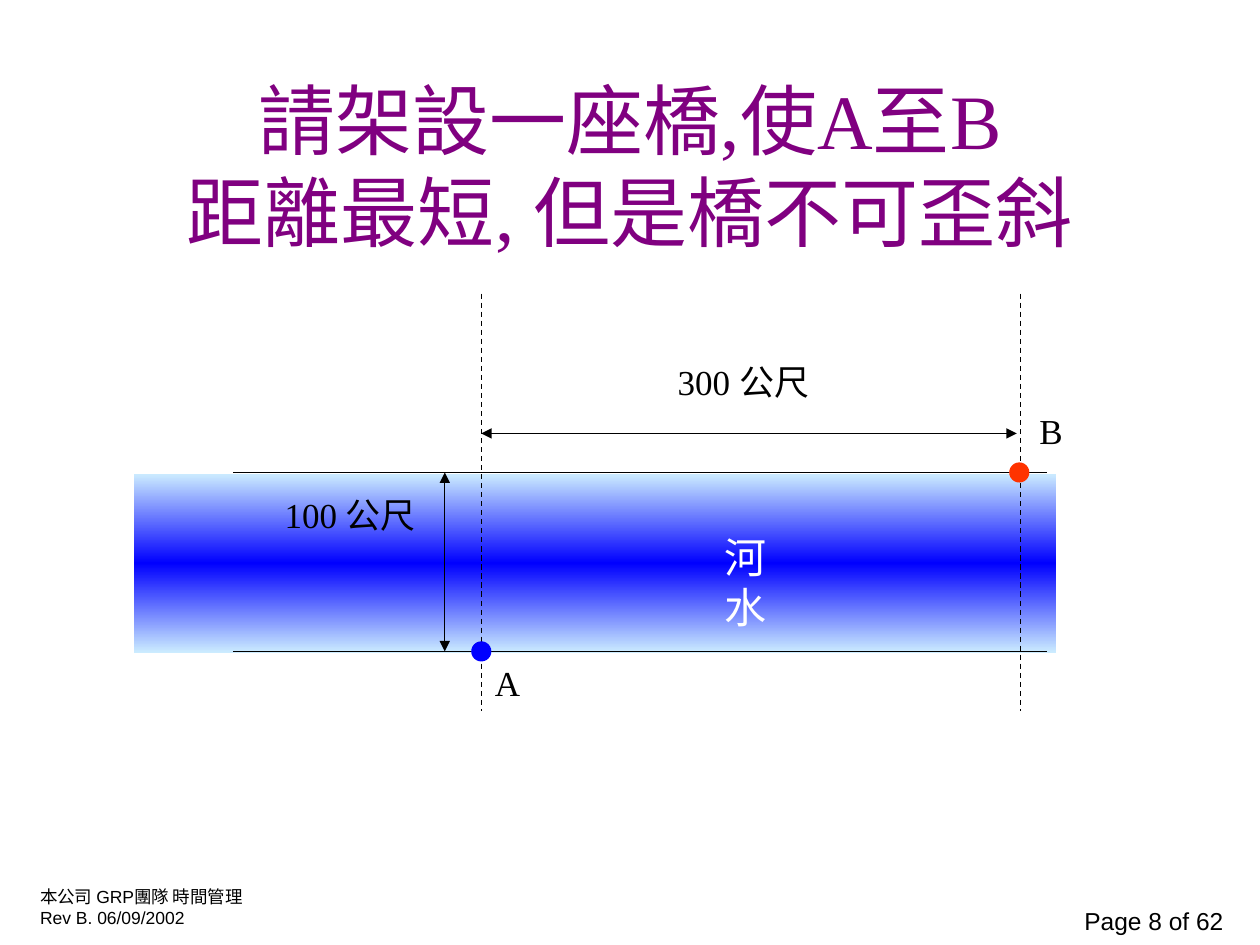
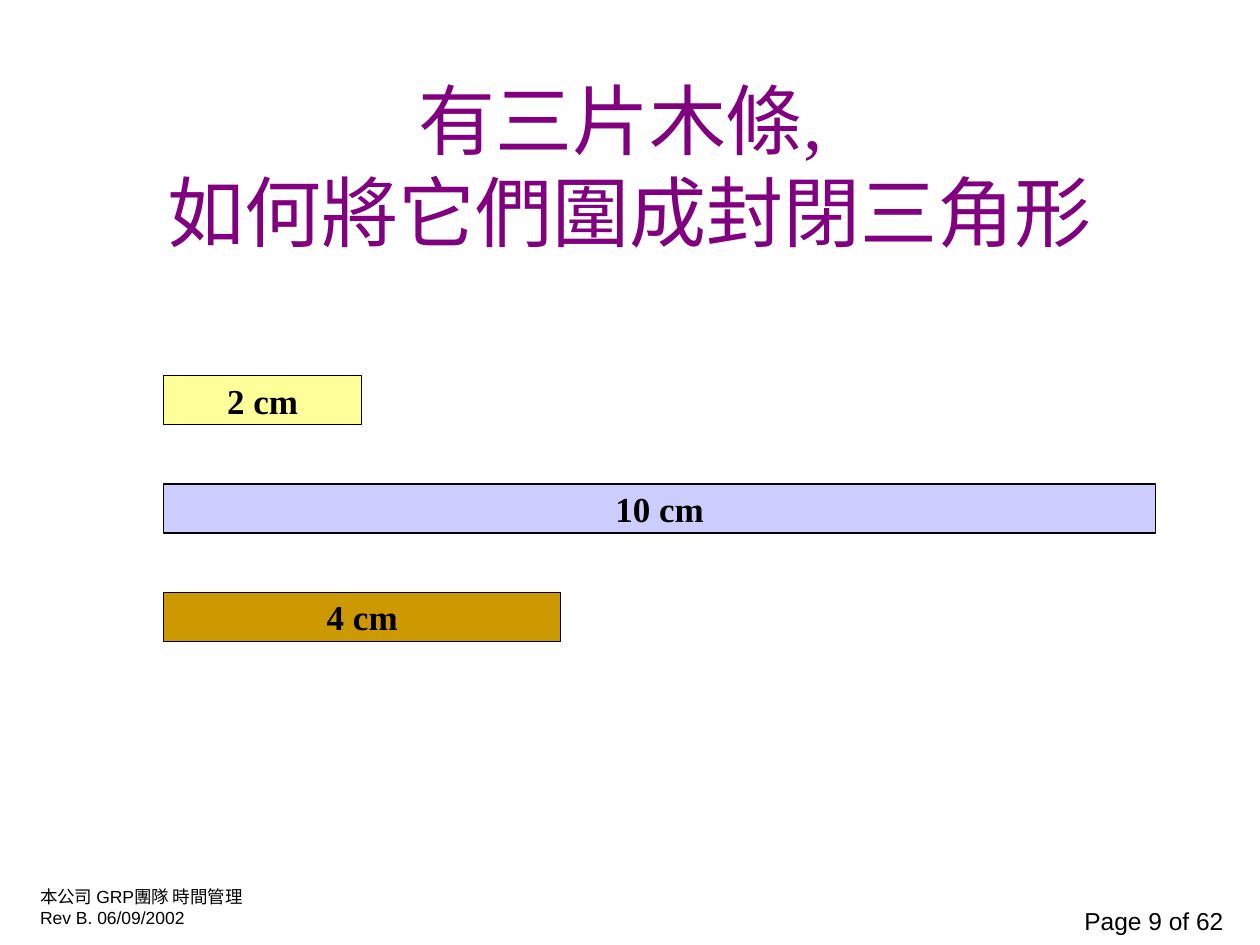
from copy import deepcopy

from lxml.etree import SubElement
from pptx import Presentation
from pptx.dml.color import RGBColor
from pptx.enum.dml import MSO_LINE
from pptx.enum.shapes import MSO_CONNECTOR, MSO_SHAPE
from pptx.enum.text import MSO_ANCHOR as Anchor, PP_ALIGN as Align
from pptx.oxml.ns import qn
from pptx.util import Pt

PX = 9144  # 100 px to the inch
BLANK = 6
PAGE_COUNT = 62

COLORS = {
    "title": "800080",
    "ink": "000000",
    "white": "FFFFFF",
    "shallow": "CCECFF",
    "blue": "0000FF",
    "red": "FF3300",
    "yellow": "FFFF99",
    "lavender": "CCCCFF",
    "ochre": "CC9900",
}
SERIF, SANS = "Times New Roman", "Arial"
STYLES = {
    "title": {"name": SERIF, "size": Pt(44), "color": "title"},
    "label": {"name": SERIF, "size": Pt(20), "color": "ink"},
    "bar": {"name": SERIF, "size": Pt(20), "color": "ink", "bold": True},
    "water": {"name": SERIF, "size": Pt(24), "color": "white"},
    "footer": {"name": SANS, "size": Pt(10), "color": "ink"},
    "page": {"name": SANS, "size": Pt(14), "color": "ink"},
}


def rgb(color):
    return RGBColor.from_string(COLORS[color])


def scaled(*lengths):
    return [length * PX for length in lengths]


class SlideBuilder:
    def __init__(self):
        self.deck = Presentation()
        self.deck.slide_width, self.deck.slide_height = scaled(1000, 750)
        self.page = None

    def start_page(self, number, title):
        """Add a slide with the shared footer and title."""
        self.page = self.deck.slides.add_slide(self.deck.slide_layouts[BLANK])
        self.text((839, 714, 142, 33), [f"Page {number} of {PAGE_COUNT}"], "page", Align.RIGHT)
        self.text((22, 698, 188, 44), ["本公司 GRP團隊 時間管理", "Rev B. 06/09/2002"], "footer")
        self.text((75, 68, 850, 125), [title], "title", Align.CENTER, Anchor.MIDDLE, wrap=True)

    def set_text(self, frame, lines, style, align, anchor, wrap=False):
        """Fill a text frame, one paragraph for each line; \\v breaks within one."""
        frame.word_wrap = wrap
        frame.vertical_anchor = anchor
        font_values = dict(STYLES[style])
        color = font_values.pop("color")
        frame.text = "\n".join(lines)
        for para in frame.paragraphs:
            para.alignment = align
            for span in para.runs:
                for key, value in font_values.items():
                    setattr(span.font, key, value)
                span.font.color.rgb = rgb(color)

    def text(self, area, lines, style, align=Align.LEFT, anchor=Anchor.TOP, wrap=False):
        box = self.page.shapes.add_textbox(*scaled(*area))
        self.set_text(box.text_frame, lines, style, align, anchor, wrap)

    def shape(self, kind, area, fill=None, outline=None):
        shape = self.page.shapes.add_shape(kind, *scaled(*area))
        shape.shadow.inherit = False
        if fill:
            shape.fill.solid()
            shape.fill.fore_color.rgb = rgb(fill)
        if outline:
            shape.line.color.rgb = rgb(outline)
            shape.line.width = Pt(0.75)
        else:
            shape.line.fill.background()
        return shape

    def river(self, area):
        """Draw a band that is darkest along its middle."""
        band = self.shape(MSO_SHAPE.RECTANGLE, area)
        band.fill.gradient()
        band.fill.gradient_angle = 90
        stop_list = band._element.spPr.find(f".//{qn('a:gsLst')}")
        stop_list.append(deepcopy(stop_list[-1]))
        for index, color in enumerate(("shallow", "blue", "shallow")):
            stop = band.fill.gradient_stops[index]
            stop.position = index / 2
            stop.color.rgb = rgb(color)

    def dot(self, x, y, color, radius=8):
        area = (x - radius, y - radius, 2 * radius, 2 * radius)
        self.shape(MSO_SHAPE.OVAL, area, color)

    def bar(self, area, label, color):
        bar = self.shape(MSO_SHAPE.RECTANGLE, area, color, "ink")
        self.set_text(bar.text_frame, [label], "bar", Align.CENTER, Anchor.MIDDLE)

    def line(self, start, end, dashed=False, arrows=False):
        line = self.page.shapes.add_connector(MSO_CONNECTOR.STRAIGHT, *scaled(*start, *end))
        line.line.color.rgb = rgb("ink")
        line.line.width = Pt(0.75)
        if dashed:
            line.line.dash_style = MSO_LINE.DASH
        if arrows:
            for tag in ("a:headEnd", "a:tailEnd"):
                SubElement(line.get_or_add_ln(), qn(tag), type="triangle")
        SubElement(line._element.spPr, qn("a:effectLst"))


def build_bridge_puzzle(builder):
    far_bank, near_bank = 375, 517
    a_x, b_x = 382, 810
    builder.start_page(8, "請架設一座橋,使A至B\v距離最短, 但是橋不可歪斜")
    builder.river((106, far_bank + 1, 732, near_bank - far_bank))
    for bank in (far_bank, near_bank):
        builder.line((185, bank), (831, bank))
    for x in (a_x, b_x):
        builder.line((x, 233), (x, 564), dashed=True)
    builder.line((353, far_bank), (353, near_bank), arrows=True)
    builder.line((a_x, 344), (b_x - 3, 344), arrows=True)
    builder.dot(a_x, near_bank, "blue")
    builder.dot(b_x - 1, far_bank, "red")
    for label, area in (
        ("100 公尺", (216, 387, 131, 44)),
        ("300 公尺", (528, 281, 131, 44)),
        ("A", (383, 520, 40, 44)),
        ("B", (815, 320, 38, 44)),
    ):
        builder.text(area, [label], "label")
    builder.text((549, 417, 86, 50), ["河水"], "water", Align.CENTER)


def build_triangle_puzzle(builder):
    builder.start_page(9, "有三片木條, \v如何將它們圍成封閉三角形")
    ten_cm = 787
    for index, (length, color) in enumerate(((2, "yellow"), (10, "lavender"), (4, "ochre"))):
        area = (130, 298 + index * 86, round(length * ten_cm / 10), 39)
        builder.bar(area, f"{length} cm", color)


def main():
    builder = SlideBuilder()
    build_bridge_puzzle(builder)
    build_triangle_puzzle(builder)
    builder.deck.save("out.pptx")


if __name__ == "__main__":
    main()
